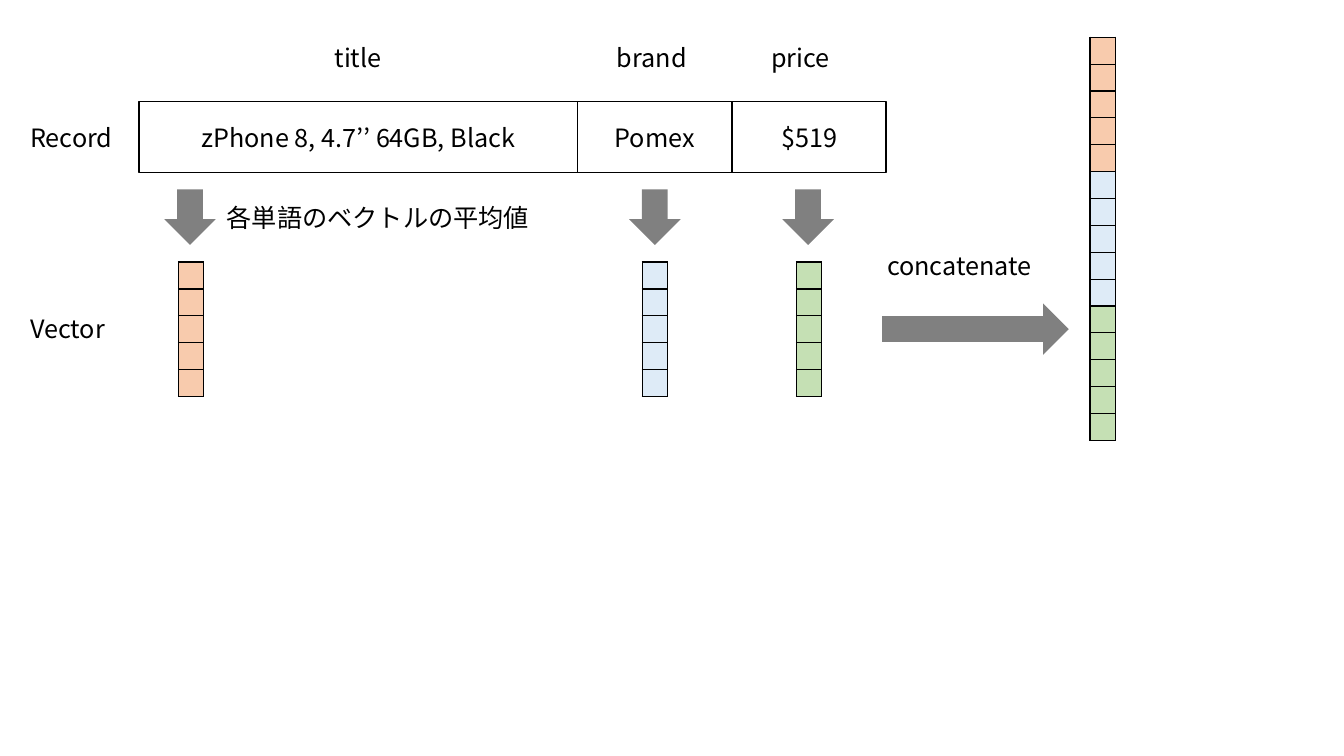
import pptx
import pptx.util
import pptx.dml.color
import pptx.enum.shapes
import pptx.enum.text
import pptx.oxml
import pptx.oxml.ns
import lxml.etree

Inches = pptx.util.Inches
Pt = pptx.util.Pt
SHAPE = pptx.enum.shapes.MSO_SHAPE
FONT = "Noto Sans CJK JP"
BLACK, WHITE, GRAY = "000000", "FFFFFF", "808080"
ORANGE, BLUE, GREEN = "F8CBAD", "DEEBF7", "C5E0B4"


def paint(color_format, hex_color):
    color_format.rgb = pptx.dml.color.RGBColor.from_string(hex_color)


def write(frame, words):
    frame.text = words
    frame.word_wrap = True
    run = frame.paragraphs[0].runs[0]
    run.font.size = Pt(18)
    run.font.name = FONT
    paint(run.font.color, BLACK)
    east_asian = lxml.etree.SubElement(run.font._element, pptx.oxml.ns.qn("a:ea"))
    east_asian.set("typeface", FONT)


deck = pptx.Presentation()
deck.slide_width = Inches(13.33)
deck.slide_height = Inches(7.5)
slide = deck.slides.add_slide(deck.slide_layouts[6])

field_left = 1.38
for value, width in [("zPhone 8, 4.7’’ 64GB, Black", 4.35), ("Pomex", 1.53), ("$519", 1.53)]:
    field = slide.shapes.add_shape(
        SHAPE.RECTANGLE, Inches(field_left), Inches(1.01), Inches(width), Inches(0.7))
    field.shadow.inherit = False
    field.fill.solid()
    paint(field.fill.fore_color, WHITE)
    paint(field.line.color, BLACK)
    field.line.width = Pt(1)
    write(field.text_frame, value)
    field.text_frame.vertical_anchor = pptx.enum.text.MSO_ANCHOR.MIDDLE
    field.text_frame.paragraphs[0].alignment = pptx.enum.text.PP_ALIGN.CENTER
    field_left += width

for words, left, top, width in [
    ("title", 3.22, 0.37, 0.94),
    ("brand", 6.02, 0.37, 0.94),
    ("price", 7.55, 0.37, 0.94),
    ("Record", 0.2, 1.16, 1.11),
    ("Vector", 0.2, 3.06, 1.11),
    ("各単語のベクトルの平均値", 2.15, 1.96, 3.4),
    ("concatenate", 8.7, 2.43, 1.75),
]:
    label = slide.shapes.add_textbox(Inches(left), Inches(top), Inches(width), Inches(0.4))
    write(label.text_frame, words)

for kind, left, top, width, height in [
    (SHAPE.DOWN_ARROW, 1.63, 1.88, 0.51, 0.55),
    (SHAPE.DOWN_ARROW, 6.24, 1.88, 0.51, 0.55),
    (SHAPE.DOWN_ARROW, 7.76, 1.88, 0.51, 0.55),
    (SHAPE.RIGHT_ARROW, 8.75, 3.01, 1.85, 0.51),
]:
    arrow = slide.shapes.add_shape(kind, Inches(left), Inches(top), Inches(width), Inches(height))
    arrow.shadow.inherit = False
    arrow.fill.solid()
    paint(arrow.fill.fore_color, GRAY)
    arrow.line.fill.background()

element_height = Inches(4) // 15
for left, top, colors in [
    (1.77, 2.6, [ORANGE] * 5),
    (6.37, 2.6, [BLUE] * 5),
    (7.9, 2.6, [GREEN] * 5),
    (10.81, 0.37, [ORANGE] * 5 + [BLUE] * 5 + [GREEN] * 5),
]:
    vector = slide.shapes.add_table(
        len(colors), 1, Inches(left), Inches(top),
        Inches(0.25), element_height * len(colors)).table
    vector.first_row = False
    vector.horz_banding = False
    for row, color in enumerate(colors):
        vector.rows[row].height = element_height
        element = vector.cell(row, 0)
        element.margin_left = element.margin_right = 0
        element.margin_top = element.margin_bottom = 0
        end_mark = lxml.etree.SubElement(
            element.text_frame.paragraphs[0]._p, pptx.oxml.ns.qn("a:endParaRPr"))
        end_mark.set("sz", "800")
        for side in ("lnL", "lnR", "lnT", "lnB"):
            element._tc.get_or_add_tcPr().append(pptx.oxml.parse_xml(
                f'<a:{side} {pptx.oxml.ns.nsdecls("a")} w="{Pt(1)}"><a:solidFill>'
                f'<a:srgbClr val="{BLACK}"/></a:solidFill></a:{side}>'))
        element.fill.solid()
        paint(element.fill.fore_color, color)

deck.save("out.pptx")
